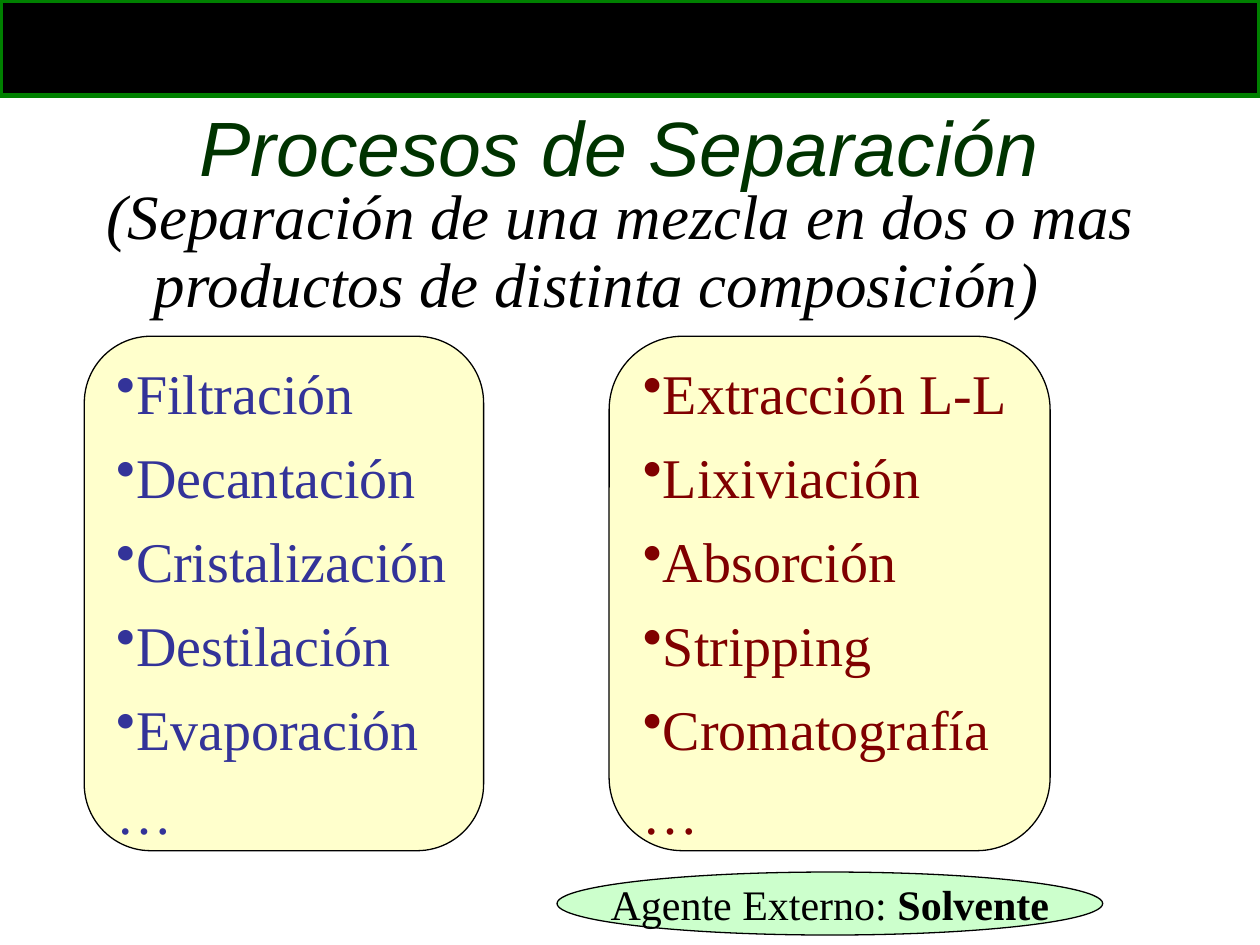
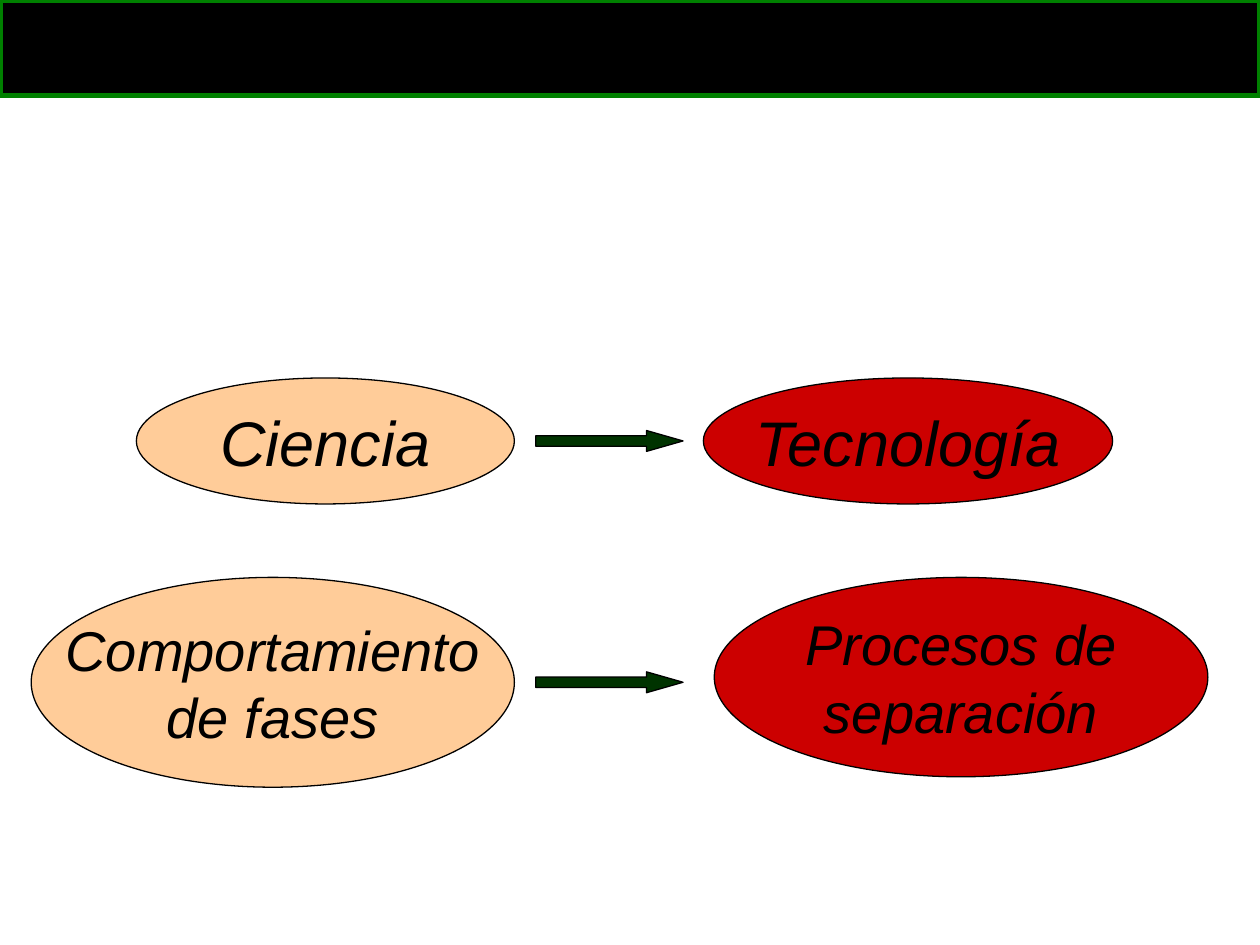
from lxml import etree
from pptx import Presentation
from pptx.dml.color import RGBColor
from pptx.enum.shapes import MSO_SHAPE
from pptx.enum.text import MSO_ANCHOR, MSO_AUTO_SIZE, PP_ALIGN
from pptx.oxml.ns import qn
from pptx.util import Cm, Pt

RECTANGLE, ROUNDED = MSO_SHAPE.RECTANGLE, MSO_SHAPE.ROUNDED_RECTANGLE
ELLIPSE, ARROW = MSO_SHAPE.OVAL, MSO_SHAPE.RIGHT_ARROW
MIDDLE, TOP = MSO_ANCHOR.MIDDLE, MSO_ANCHOR.TOP
NO_FIT = MSO_AUTO_SIZE.NONE
LEFT, CENTER = PP_ALIGN.LEFT, PP_ALIGN.CENTER

BLACK = RGBColor(0x00, 0x00, 0x00)
BAND_GREEN = RGBColor(0x00, 0x80, 0x00)
DARK_GREEN = RGBColor(0x00, 0x33, 0x00)
CREAM = RGBColor(0xFF, 0xFF, 0xCC)
MINT = RGBColor(0xCC, 0xFF, 0xCC)
PEACH = RGBColor(0xFF, 0xCC, 0x99)
RED = RGBColor(0xCC, 0x00, 0x00)
BLUE = RGBColor(0x33, 0x33, 0x99)
MAROON = RGBColor(0x80, 0x00, 0x00)

SANS, SERIF = "Arial", "Times New Roman"
SLIDE_WIDTH, SLIDE_HEIGHT = 25.4, 19.05


# Text helpers
def add_run(paragraph, text, size, font, color=BLACK, bold=False, italic=False):
    run = paragraph.add_run()
    run.text = text
    run.font.size = Pt(size)
    run.font.name = font
    run.font.color.rgb = color
    run.font.bold = bold
    run.font.italic = italic


def get_paragraph(frame, index):
    return frame.paragraphs[0] if index == 0 else frame.add_paragraph()


def set_bullet(paragraph, color=None):
    """Give the paragraph a round bullet, or none when there is no color."""
    properties = paragraph._p.get_or_add_pPr()
    if color is None:
        etree.SubElement(properties, qn("a:buNone"))
        return
    bullet_color = etree.SubElement(properties, qn("a:buClr"))
    etree.SubElement(bullet_color, qn("a:srgbClr"), val=str(color))
    etree.SubElement(properties, qn("a:buChar"), char="•")


# Shape helpers
def add_box(slide, kind, left, top, width, height, fill, line=BLACK, weight=0.75):
    box = slide.shapes.add_shape(kind, Cm(left), Cm(top), Cm(width), Cm(height))
    box.shadow.inherit = False
    box.fill.solid()
    box.fill.fore_color.rgb = fill
    box.line.color.rgb = line
    box.line.width = Pt(weight)
    box.text_frame.word_wrap = False
    box.text_frame.vertical_anchor = MIDDLE
    return box


def add_process_panel(slide, left, width, processes, color):
    panel = add_box(slide, ROUNDED, left, 6.78, width, 10.37, CREAM)
    for index, process in enumerate(processes + ["…"]):
        paragraph = get_paragraph(panel.text_frame, index)
        set_bullet(paragraph, color if index < len(processes) else None)
        paragraph.alignment = LEFT
        paragraph.line_spacing = 1.25
        add_run(paragraph, process, 32, SERIF, color)


def add_concept(slide, left, top, width, height, fill, lines, size):
    concept = add_box(slide, ELLIPSE, left, top, width, height, fill)
    for index, line in enumerate(lines):
        paragraph = get_paragraph(concept.text_frame, index)
        paragraph.alignment = CENTER
        add_run(paragraph, line, size, SANS, italic=True)


def add_arrow(slide, middle):
    height = 0.42
    arrow = add_box(slide, ARROW, 10.8, middle - height / 2, 2.97, height, DARK_GREEN)
    arrow.adjustments[0] = 0.5
    arrow.adjustments[1] = 1.75


def place(placeholder, left, top, width, height, anchor):
    placeholder.left, placeholder.top = Cm(left), Cm(top)
    placeholder.width, placeholder.height = Cm(width), Cm(height)
    frame = placeholder.text_frame
    frame.word_wrap = True
    frame.auto_size = NO_FIT
    frame.vertical_anchor = anchor
    return frame.paragraphs[0]


# Band on the master, shared by both slides
def add_master_band(prs, slide):
    band = add_box(slide, RECTANGLE, 0, 0, SLIDE_WIDTH, 1.93, BLACK, BAND_GREEN, 3)
    prs.slide_master.shapes.element.insert(2, band.element)


def build_separation_slide(slide):
    # Title and definition
    title = place(slide.shapes.title, 2.96, 1.83, 19.05, 2.2, MIDDLE)
    title.alignment = CENTER
    add_run(title, "Procesos de Separación", 44, SANS, DARK_GREEN, italic=True)

    definition = place(slide.placeholders[1], 1.9, 3.6, 21.59, 3.18, TOP)
    set_bullet(definition)
    properties = definition._p.get_or_add_pPr()
    properties.set("marL", str(Cm(0.95)))
    properties.set("indent", str(Cm(-0.95)))
    definition.line_spacing = 0.9
    definition.space_before = Pt(0)
    add_run(definition, "(Separación de una mezcla en dos o mas productos "
            "de distinta composición)", 36, SERIF, italic=True)

    # Lists of processes
    add_process_panel(slide, 1.7, 8.05, ["Filtración", "Decantación", "Cristalización",
                                         "Destilación", "Evaporación"], BLUE)
    add_process_panel(slide, 12.28, 8.89, ["Extracción L-L", "Lixiviación", "Absorción",
                                           "Stripping", "Cromatografía"], MAROON)

    # External agent
    agent = add_box(slide, ELLIPSE, 11.23, 17.58, 11, 1.27, MINT)
    paragraph = agent.text_frame.paragraphs[0]
    paragraph.alignment = CENTER
    add_run(paragraph, "Agente Externo: ", 24, SERIF)
    add_run(paragraph, "Solvente", 24, SERIF, bold=True)


def build_science_slide(slide):
    # Science row
    add_concept(slide, 2.75, 7.62, 7.62, 2.54, PEACH, ["Ciencia"], 36)
    add_concept(slide, 14.18, 7.62, 8.25, 2.54, RED, ["Tecnología"], 36)
    add_arrow(slide, 7.62 + 2.54 / 2)

    # Phase behaviour row
    add_concept(slide, 0.63, 11.64, 9.74, 4.23, PEACH, ["Comportamiento", "de fases"], 32)
    add_concept(slide, 14.4, 11.64, 9.95, 4.02, RED, ["Procesos de", "separación"], 32)
    add_arrow(slide, 11.64 + 4.23 / 2)


def main():
    prs = Presentation()
    prs.slide_width, prs.slide_height = Cm(SLIDE_WIDTH), Cm(SLIDE_HEIGHT)
    separation = prs.slides.add_slide(prs.slide_layouts[1])
    science = prs.slides.add_slide(prs.slide_layouts[6])
    add_master_band(prs, separation)
    build_separation_slide(separation)
    build_science_slide(science)
    prs.save("out.pptx")


if __name__ == "__main__":
    main()
